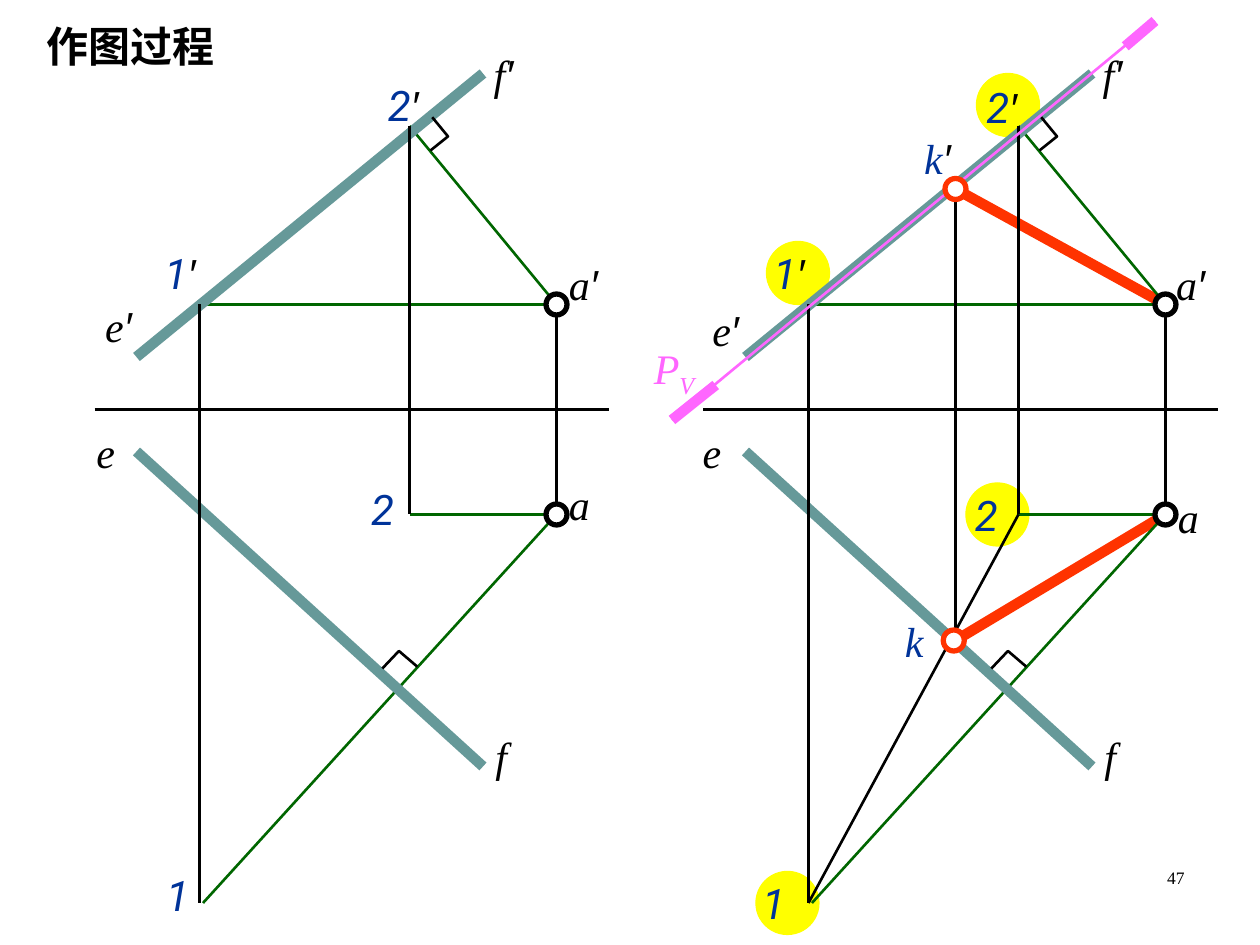
from lxml.etree import SubElement
from pptx import Presentation
from pptx.dml.color import RGBColor
from pptx.enum.shapes import MSO_CONNECTOR as CONN, MSO_SHAPE as SHAPE
from pptx.enum.text import MSO_ANCHOR, MSO_AUTO_SIZE, PP_ALIGN
from pptx.oxml.ns import qn
from pptx.util import Pt

BLACK = RGBColor(0x00, 0x00, 0x00)
WHITE = RGBColor(0xFF, 0xFF, 0xFF)
BLUE = RGBColor(0x00, 0x33, 0x99)
GREEN = RGBColor(0x00, 0x66, 0x00)
TEAL = RGBColor(0x66, 0x99, 0x99)
RED = RGBColor(0xFF, 0x33, 0x00)
PINK = RGBColor(0xFF, 0x66, 0xFF)
YELLOW = RGBColor(0xFF, 0xFF, 0x00)

SERIF, SANS, DIGITS = "Times New Roman", "Arial", "Roboto"
PRIME = "′"
THIN, THICK = 1.5, 6
SHIFT = 348  # from the left view to the right one

# Points of the left view; a trailing 1 marks the upper projection
A1, A = (318, 174), (318, 294)
E1, F1 = (78, 204), (276, 42)
E, F = (78, 258), (276, 438)
ONE1, ONE = (114, 174), (114, 516)
TWO1, TWO = (234, 72), (234, 294)
AXIS = (54, 234), (348, 234)
RIGHT_ANGLES = [
    [(247, 67), (256, 78), (246, 86)],
    [(218.5, 382), (228, 372), (238.5, 381)],
]
# Points of the right view only
K1, K = (546, 108), (546, 366)

LABEL_WIDTHS = {"1": 27, "2": 27, "1′": 35, "2′": 35, "a": 26, "a′": 35, "e": 25,
                "e′": 33, "f": 21, "f′": 29, "k": 25, "k′": 33, "PV": 46}
LEFT_LABELS = {"2′": (214.5, 42), "1": (88, 493.5), "a′": (318, 144), "e": (48, 240),
               "f": (276, 414), "a": (318, 270), "f′": (275, 24), "e′": (53, 168),
               "1′": (87, 138), "2": (205, 273)}
RIGHT_LABELS = {"2′": (556.5, 43), "1": (428.5, 498), "a′": (665, 144),
                "e": (394.5, 240), "f": (624, 414), "a": (666, 277.5),
                "f′": (623, 24), "e′": (400, 170.5), "1′": (435, 138),
                "2": (550, 276)}


def moved(point, dx):
    return point[0] + dx, point[1]


class Drawing:
    """Current slide with its text size."""

    def __init__(self, slide, size=24):
        self.slide = slide
        self.shapes = slide.shapes
        self.size = size

    def line(self, start, end, color=BLACK, width=THIN):
        ln = self.shapes.add_connector(CONN.STRAIGHT, *map(Pt, start + end))
        ln.line.color.rgb = color
        ln.line.width = Pt(width)
        SubElement(ln._element.spPr, qn("a:effectLst"))

    def polyline(self, points):
        pts = [(Pt(x), Pt(y)) for x, y in points]
        builder = self.shapes.build_freeform(*pts[0])
        builder.add_line_segments(pts[1:], close=False)
        sp = builder.convert_to_shape()
        sp.shadow.inherit = False
        sp.fill.background()
        sp.line.color.rgb = BLACK
        sp.line.width = Pt(THIN)

    def disc(self, center, diameter, fill, outline, width):
        x, y = (c - diameter / 2 for c in center)
        sp = self.shapes.add_shape(SHAPE.OVAL, Pt(x), Pt(y), Pt(diameter), Pt(diameter))
        sp.shadow.inherit = False
        sp.fill.solid()
        sp.fill.fore_color.rgb = fill
        sp.line.color.rgb = outline
        sp.line.width = Pt(width)

    def node(self, center, color=BLACK):
        self.disc(center, 12, WHITE, color, 3)

    def run(self, p, text, font, color):
        r = p.add_run()
        r.text = text
        r.font.name = font
        r.font.size = Pt(self.size)
        r.font.italic = True
        r.font.color.rgb = color
        return r

    def label(self, text, x, y, color=BLACK):
        """Point name; the second letter is a prime or a subscript."""
        box = self.shapes.add_textbox(Pt(x), Pt(y), Pt(LABEL_WIDTHS[text]), Pt(36))
        tf = box.text_frame
        tf.word_wrap = False
        p = tf.paragraphs[0]
        name, mark = text[0], text[1:]
        self.run(p, name, DIGITS if name.isdigit() else SERIF, color)
        if mark == PRIME:
            self.run(p, mark, SANS, BLACK)
        elif mark:
            sub = self.run(p, mark, SERIF, color)
            sub._r.get_or_add_rPr().set("baseline", "-25000")

    def title(self, text):
        sp = self.shapes.title
        sp.left, sp.top, sp.width, sp.height = Pt(19.5), Pt(8), Pt(140), Pt(36)
        tf = sp.text_frame
        tf.text = text
        tf.word_wrap = True
        tf.auto_size = MSO_AUTO_SIZE.NONE
        tf.vertical_anchor = MSO_ANCHOR.TOP
        p = tf.paragraphs[0]
        p.alignment = PP_ALIGN.LEFT
        font = p.runs[0].font
        font.name, font.size, font.bold = SANS, Pt(self.size), True
        font.color.rgb = BLACK

    def page_number(self, text):
        tf = self.shapes.add_textbox(Pt(516), Pt(492), Pt(168), Pt(36)).text_frame
        tf.word_wrap = True
        tf.text = text
        p = tf.paragraphs[0]
        p.alignment = PP_ALIGN.RIGHT
        font = p.runs[0].font
        font.name, font.size = SERIF, Pt(10)
        font.color.rgb = BLACK

    def view(self, dx, labels):
        """Both projections of point a and line ef, with the perpendiculars."""
        segments = [
            (A1, ONE1, GREEN, THIN), (A, TWO, GREEN, THIN), (TWO1, A1, GREEN, THIN),
            ((116, 516), A, GREEN, THIN), (*AXIS, BLACK, THIN), (A1, A, BLACK, THIN),
            (F1, E1, TEAL, THICK), (E, F, TEAL, THICK),
            (ONE1, ONE, BLACK, THIN), (TWO1, TWO, BLACK, THIN),
        ]
        for start, end, color, width in segments:
            self.line(moved(start, dx), moved(end, dx), color, width)
        for center in (A, A1):
            self.node(moved(center, dx))
        for corner in RIGHT_ANGLES:
            self.polyline([moved(point, dx) for point in corner])
        for text, (x, y) in labels.items():
            self.label(text, x, y, BLUE if text[0].isdigit() else BLACK)


def main():
    prs = Presentation()
    prs.slide_width, prs.slide_height = Pt(720), Pt(540)
    d = Drawing(prs.slides.add_slide(prs.slide_layouts[5]))
    d.title("作图过程")

    for center in [(576, 60), (570, 294), (450, 516), (456, 156)]:
        d.disc(center, 36, YELLOW, YELLOW, 0.75)
    d.line(K, moved(A, SHIFT), RED, THICK)
    d.line(K1, moved(A1, SHIFT), RED, THICK)

    d.view(SHIFT, RIGHT_LABELS)
    d.view(0, LEFT_LABELS)

    trace_start, trace_end = (384, 240), (660, 12)
    d.line(trace_start, trace_end, PINK)
    d.line(trace_start, (409, 220), PINK, THICK)
    d.line(trace_end, (643, 26.5), PINK, THICK)
    d.label("PV", 366.5, 192, PINK)

    d.line(K, K1)
    d.line(moved(ONE, SHIFT), moved(TWO, SHIFT))
    d.node(K1, RED)
    d.node(moved(K, -1), RED)
    d.label("k′", 521, 72, BLUE)
    d.label("k", 510, 348, BLUE)

    d.page_number("47")
    prs.save("out.pptx")


if __name__ == "__main__":
    main()
